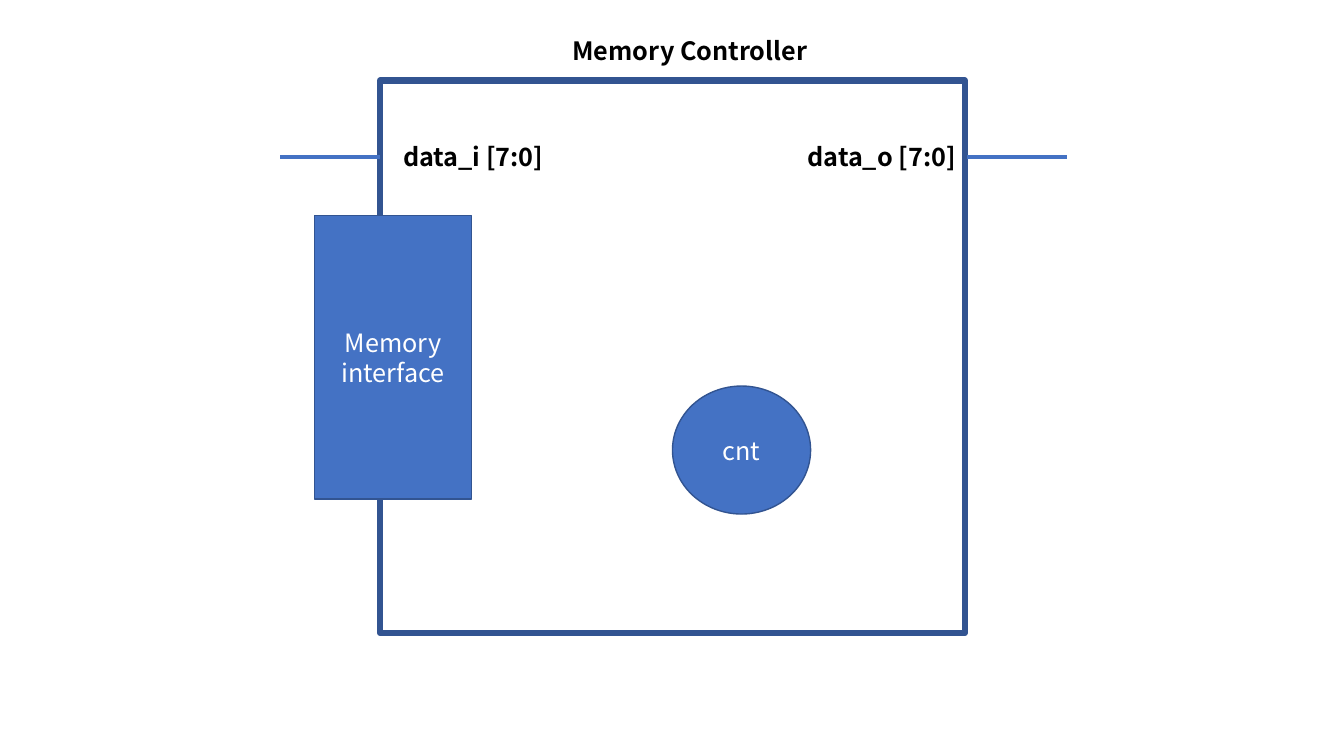
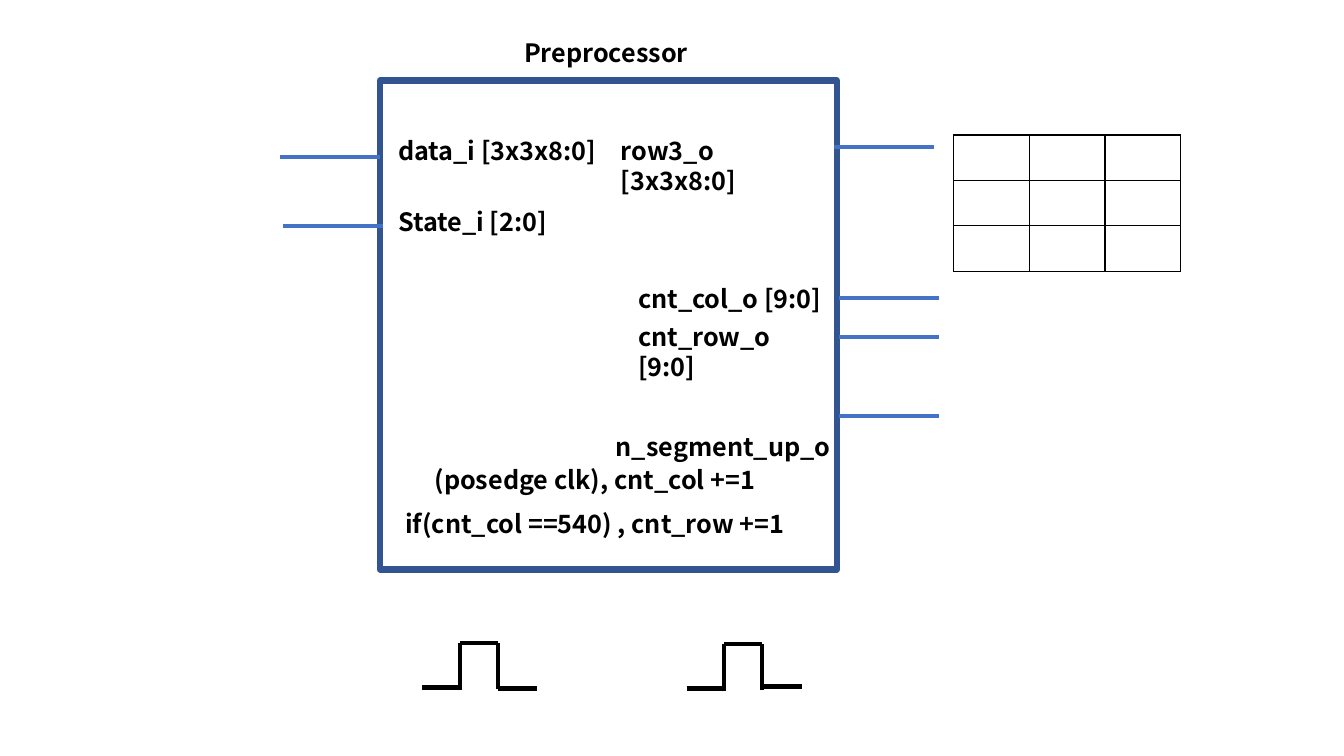
"""Build two block diagrams: a memory controller and a preprocessor."""
from dataclasses import dataclass
from typing import Any

from lxml import etree
from pptx import Presentation
from pptx import util as u
from pptx.dml.color import RGBColor
from pptx.enum import shapes, text
from pptx.oxml import ns

HUES = {"page": "FFFFFF", "fill": "4472C4", "edge": "325491", "ink": "000000"}
FONT = {"name": "Noto Sans CJK KR", "size": u.Pt(18)}
FRAME = {"word_wrap": True, "auto_size": text.MSO_AUTO_SIZE.SHAPE_TO_FIT_TEXT}
PLAIN = {"first_row": False, "horz_banding": False}
LEFT, MID = text.PP_ALIGN.LEFT, text.PP_ALIGN.CENTER
RECT, OVAL = shapes.MSO_SHAPE.RECTANGLE, shapes.MSO_SHAPE.OVAL
LEAD = 0.99


@dataclass
class Label:
    words: str
    x: float
    y: float
    width: float = 2.18
    align: Any = LEFT


@dataclass
class Block:
    x: float
    y: float
    width: float
    height: float
    words: str = ""
    form: Any = RECT
    fill: str = "fill"
    edge: float = 1


@dataclass
class Pulse:
    x: float
    y: float
    tail: float


def hue(name: str) -> RGBColor:
    return RGBColor.from_string(HUES[name])


def apply(item: Any, values: dict) -> None:
    for name, value in values.items():
        setattr(item, name, value)


def write(frame: Any, words: str, align: Any, tint: str, bold: bool) -> None:
    frame.text = words
    para = frame.paragraphs[0]
    para.alignment = align
    for run in para.runs:
        apply(run.font, FONT | {"bold": bold})
        run.font.color.rgb = hue(tint)


def label(slide: Any, spec: Label) -> None:
    box = slide.shapes.add_textbox(*map(u.Inches, (spec.x, spec.y, spec.width, 0.4)))
    apply(box.text_frame, FRAME)
    write(box.text_frame, spec.words, spec.align, "ink", True)


def block(slide: Any, spec: Block) -> None:
    area = map(u.Inches, (spec.x, spec.y, spec.width, spec.height))
    shape = slide.shapes.add_shape(spec.form, *area)
    shape.shadow.inherit = False
    shape.fill.solid()
    shape.fill.fore_color.rgb = hue(spec.fill)
    shape.line.color.rgb = hue("edge")
    shape.line.width = u.Pt(spec.edge)
    if spec.words:
        shape.text_frame.vertical_anchor = text.MSO_ANCHOR.MIDDLE
        write(shape.text_frame, spec.words, MID, "page", False)


def wire(slide: Any, x: float, y: float, end: float, foot: float, tint: str) -> None:
    ends = map(u.Inches, (x, y, end, foot))
    line = slide.shapes.add_connector(shapes.MSO_CONNECTOR.STRAIGHT, *ends)
    line.line.color.rgb = hue(tint)
    line.line.width = u.Pt(3)
    etree.SubElement(line._element.spPr, ns.qn("a:effectLst"))


def pulse(slide: Any, spec: Pulse) -> None:
    x, y = spec.x, spec.y
    rise, fall, top = x + 0.37, x + 0.75, y - 0.44
    for ends in (
        (x, y, rise, y),
        (fall, spec.tail, x + 1.14, spec.tail),
        (fall, y + 0.02, fall, top),
        (rise, y + 0.03, rise, top),
        (rise, top, fall, top),
    ):
        wire(slide, *ends, "ink")


def rule(cell: Any) -> None:
    cell.fill.solid()
    cell.fill.fore_color.rgb = hue("page")
    props = cell._tc.get_or_add_tcPr()
    for place, side in enumerate("LRTB"):
        edge = etree.Element(ns.qn(f"a:ln{side}"), w=str(u.Pt(1)))
        paint = etree.SubElement(edge, ns.qn("a:solidFill"))
        etree.SubElement(paint, ns.qn("a:srgbClr"), val=HUES["ink"])
        props.insert(place, edge)


def grid(slide: Any, x: float, y: float, count: int, width: float, height: float) -> None:
    area = map(u.Inches, (x, y, count * width, count * height))
    table = slide.shapes.add_table(count, count, *area).table
    apply(table, PLAIN)
    for cell in table.iter_cells():
        rule(cell)


def draw(deck: Any, blocks: list[Block], ports: list[tuple[float, float]],
         labels: list[Label]) -> Any:
    slide = deck.slides.add_slide(deck.slide_layouts[6])
    first, *rest = blocks
    block(slide, first)
    for x, y in ports:
        wire(slide, x, y, x + LEAD, y, "fill")
    for item in labels:
        label(slide, item)
    for item in rest:
        block(slide, item)
    return slide


def memory(deck: Any) -> None:
    blocks = [
        Block(3.77, 0.8, 5.8, 5.48, fill="page", edge=4.5),
        Block(6.67, 3.83, 1.37, 1.27, "cnt", OVAL),
        Block(3.12, 2.14, 1.56, 2.81, "Memory\vinterface"),
    ]
    labels = [
        Label("Memory Controller", 5.58, 0.3, 2.62),
        Label("data_i [7:0]", 3.9, 1.35),
        Label("data_o [7:0]", 7.91, 1.35),
    ]
    draw(deck, blocks, [(2.78, 1.56), (9.59, 1.56)], labels)


def process(deck: Any) -> None:
    ports = [(2.78, 1.56), (2.81, 2.24), (8.27, 1.46)]
    ports += [(8.32, y) for y in (2.96, 3.34, 4.13)]
    labels = [
        Label("Preprocessor", 5.1, 0.32, 2.62),
        Label("data_i [3x3x8:0]", 3.85, 1.29),
        Label("row3_o [3x3x8:0]", 6.06, 1.29),
        Label("State_i [2:0]", 3.85, 2),
        Label("cnt_col_o [9:0]", 6.23, 2.76, 2.11),
        Label("cnt_row_o [9:0]", 6.23, 3.14, 2.11),
        Label("n_segment_up_o", 6.01, 4.23, 2.4),
        Label("(posedge clk), cnt_col +=1", 3.66, 4.56, 4.48, MID),
        Label("if(cnt_col ==540) , cnt_row +=1", 3.66, 4.99, 4.48, MID),
    ]
    slide = draw(deck, [Block(3.77, 0.8, 4.53, 4.85, fill="page", edge=4.5)], ports, labels)
    grid(slide, 9.46, 1.34, 3, 0.75, 0.45)
    for item in (Pulse(4.19, 6.82, 6.83), Pulse(6.81, 6.83, 6.81)):
        pulse(slide, item)


def main() -> None:
    deck = Presentation()
    apply(deck, {"slide_width": u.Inches(13.33), "slide_height": u.Inches(7.5)})
    memory(deck)
    process(deck)
    deck.save("out.pptx")


if __name__ == "__main__":
    main()
